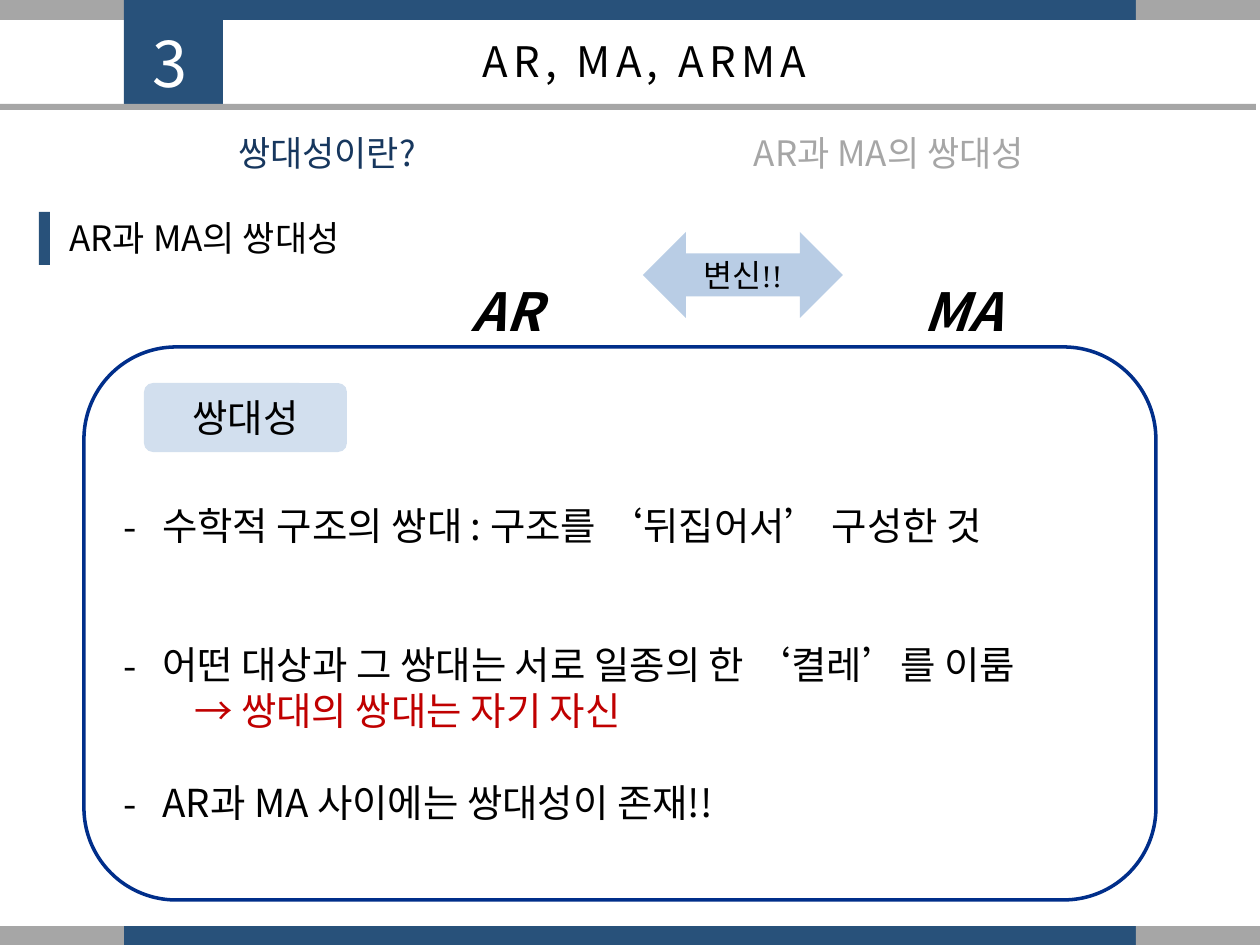
import pptx
import pptx.util
import pptx.dml.color
import pptx.enum.shapes
import pptx.enum.text
from lxml import etree
from pptx.oxml.ns import qn

SHAPE = pptx.enum.shapes.MSO_SHAPE
ALIGN = pptx.enum.text.PP_ALIGN
ANCHOR = pptx.enum.text.MSO_ANCHOR
PX = 914400 // 126
W, H = 1260, 945
SANS, SERIF = "Noto Sans CJK KR", "Times New Roman"
COLORS = {
    "navy": "28517A", "gray": "A6A6A6", "outline": "002E8A", "tag": "4F81BD",
    "arrow": "B9CDE5", "tab": "17375E", "red": "C00000", "black": "000000",
    "white": "FFFFFF",
}

# Content
TITLE = "AR, MA, ARMA"
CHAPTER = "3"
SUBJECT = "AR과 MA의 쌍대성"
TABS = [("쌍대성이란?", (203, 125, 248, 55), "tab"),
        (SUBJECT, (733, 125, 312, 55), "gray")]
MODELS = [("AR", (459, 273, 127, 140)), ("MA", (911, 273, 154, 140))]
# text, bulleted, colour, blank lines before
POINTS = [
    ("수학적 구조의 쌍대 : 구조를 ‘뒤집어서’ 구성한 것", True, "black", 0),
    ("어떤 대상과 그 쌍대는 서로 일종의 한 ‘켤레’를 이룸", True, "black", 2),
    ("→ 쌍대의 쌍대는 자기 자신", False, "red", 0),
    ("AR과 MA 사이에는 쌍대성이 존재!!", True, "black", 1),
]
POINT_LINE = 26.4
POINT_INDENT, SUB_INDENT = 39, 71


def emu(px):
    return pptx.util.Emu(px * PX)


def rgb(name):
    return pptx.dml.color.RGBColor.from_string(COLORS[name])


def write(paragraph, text, size=20, color="black", font=SANS, bold=False,
          italic=False, spacing=0, align=ALIGN.LEFT):
    paragraph.alignment = align
    run = paragraph.add_run()
    run.text = text
    run.font.size = pptx.util.Pt(size)
    run.font.name = font
    run.font.bold = bold
    run.font.italic = italic
    run.font.color.rgb = rgb(color)
    props = run._r.get_or_add_rPr()
    etree.SubElement(props, qn("a:ea")).set("typeface", SANS)
    if spacing:
        props.set("spc", str(spacing * 100))


def place(shape, box):
    shape.left, shape.top, shape.width, shape.height = map(emu, box)


def block(kind, box, fill=None, line=None):
    shape = slide.shapes.add_shape(kind, *map(emu, box))
    shape.shadow.inherit = False
    if fill:
        shape.fill.solid()
        shape.fill.fore_color.rgb = rgb(fill)
    else:
        shape.fill.background()
    if line:
        shape.line.color.rgb = rgb(line)
        shape.line.width = pptx.util.Pt(2)
    else:
        shape.line.fill.background()
    shape.text_frame.word_wrap = True
    shape.text_frame.vertical_anchor = ANCHOR.MIDDLE
    return shape


def label(text, box, **style):
    frame = slide.shapes.add_textbox(*map(emu, box)).text_frame
    frame.word_wrap = True
    write(frame.paragraphs[0], text, **style)


deck = pptx.Presentation()
deck.slide_width, deck.slide_height = emu(W), emu(H)
slide = deck.slides.add_slide(deck.slide_layouts[5])

# Top and bottom bands
for top in (0, 926):
    for left, right, color in ((124, 1140, "navy"), (0, 124, "gray"), (1136, W, "gray")):
        block(SHAPE.RECTANGLE, (left, top, right - left, 20 if top == 0 else H - top), color)

# Header
block(SHAPE.RECTANGLE, (124, 0, 99, 105), "navy")
heading = slide.shapes.title
place(heading, (382, 29, 525, 63))
heading.text_frame.auto_size = pptx.enum.text.MSO_AUTO_SIZE.NONE
heading.text_frame.vertical_anchor = ANCHOR.TOP
write(heading.text_frame.paragraphs[0], TITLE, size=24, spacing=3, align=ALIGN.CENTER)
block(SHAPE.RECTANGLE, (0, 104, 1256, 6), "gray")
label(CHAPTER, (115, 18, 110, 89), size=36, color="white", spacing=3, align=ALIGN.CENTER)

# Subject with its marker
block(SHAPE.RECTANGLE, (39, 212, 11, 53), "navy")
label(SUBJECT, (57, 210, 300, 55))

# Card with the points
card = block(SHAPE.ROUNDED_RECTANGLE, (84, 347, 1072, 553), line="outline").text_frame
card.vertical_anchor = ANCHOR.TOP
card.margin_top = emu(128)
for i, (text, bulleted, color, gap) in enumerate(POINTS):
    point = card.paragraphs[0] if i == 0 else card.add_paragraph()
    props = point._p.get_or_add_pPr()
    props.set("marL", str(emu(POINT_INDENT if bulleted else SUB_INDENT)))
    props.set("indent", str(emu(-POINT_INDENT if bulleted else 0)))
    if bulleted:
        etree.SubElement(props, qn("a:buFont")).set("typeface", SANS)
        etree.SubElement(props, qn("a:buChar")).set("char", "-")
    point.line_spacing = pptx.util.Pt(POINT_LINE)
    if gap:
        point.space_before = pptx.util.Pt(gap * POINT_LINE)
    write(point, text, size=22, color=color)

# Tag of the card
tag = block(SHAPE.ROUNDED_RECTANGLE, (144, 383, 203, 69), "tag")
tag.adjustments[0] = 0.13
tint = tag._element.spPr.find(qn("a:solidFill"))[0]
etree.SubElement(tint, qn("a:alpha")).set("val", "25000")
write(tag.text_frame.paragraphs[0], "쌍대성", size=22, align=ALIGN.CENTER)

# AR and MA with the arrow between them
for text, box in MODELS:
    label(text, box, size=30, bold=True, italic=True)
swap = block(SHAPE.LEFT_RIGHT_ARROW, (643, 232, 200, 86), "arrow")
write(swap.text_frame.paragraphs[0], "변신!!", size=18, font=SERIF, align=ALIGN.CENTER)

# Section tabs
for text, box, color in TABS:
    label(text, box, color=color, align=ALIGN.CENTER)

deck.save("out.pptx")
